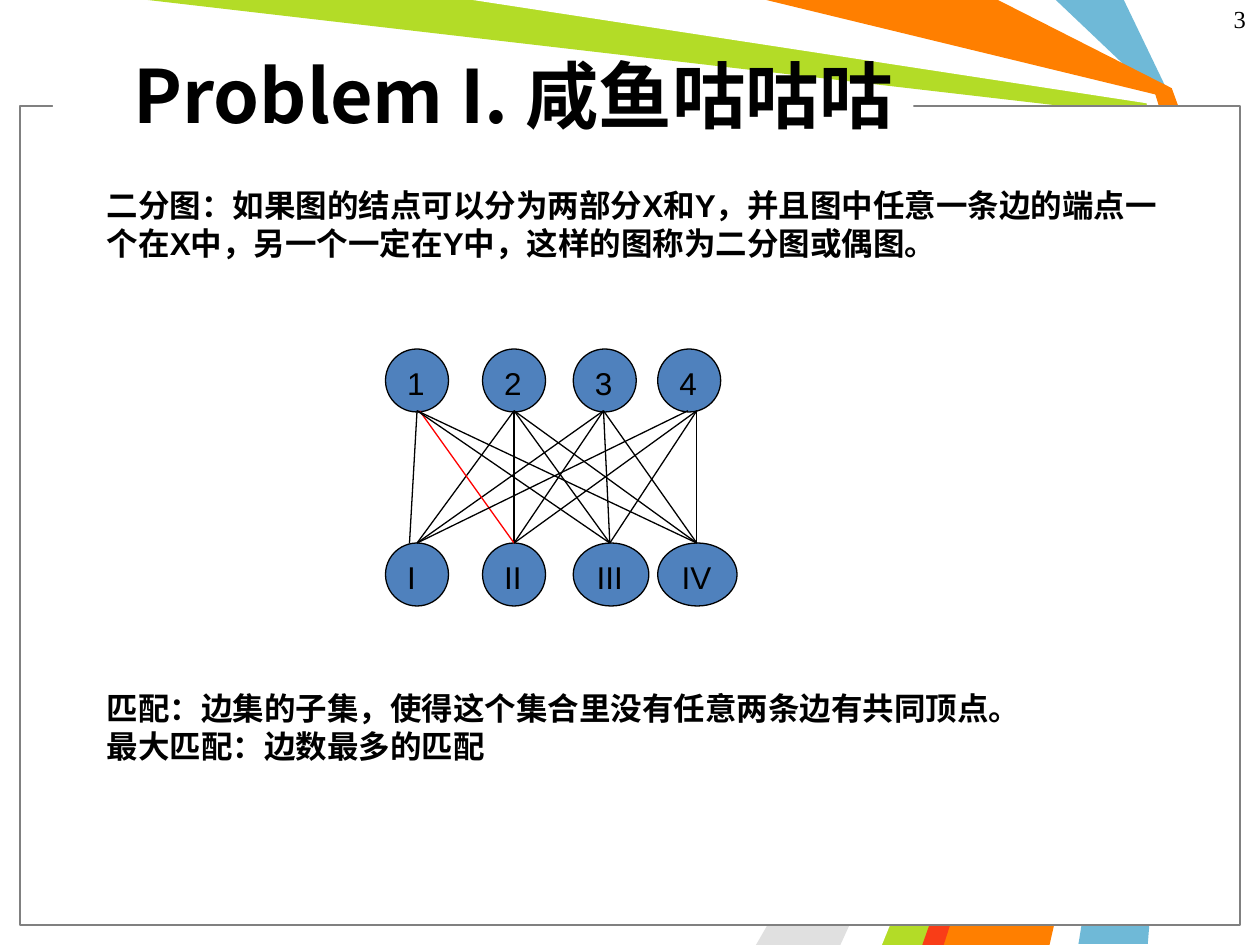
"""Build a slide that defines bipartite graphs and matchings around a two-row graph."""
from pptx import Presentation
from pptx.dml.color import RGBColor
from pptx.enum.shapes import MSO_CONNECTOR, MSO_SHAPE
from pptx.enum.text import MSO_ANCHOR, MSO_AUTO_SIZE, PP_ALIGN
from pptx.oxml.ns import qn
from pptx.util import Inches, Pt

OVAL, RECTANGLE = MSO_SHAPE.OVAL, MSO_SHAPE.RECTANGLE
STRAIGHT = MSO_CONNECTOR.STRAIGHT
LEFT, TOP, FIXED = PP_ALIGN.LEFT, MSO_ANCHOR.TOP, MSO_AUTO_SIZE.NONE

BLACK = RGBColor(0x00, 0x00, 0x00)
WHITE = RGBColor(0xFF, 0xFF, 0xFF)
GRAY = RGBColor(0x80, 0x80, 0x80)
SILVER = RGBColor(0xE0, 0xE0, 0xE0)
SKY = RGBColor(0x6F, 0xB9, 0xD7)
LIME = RGBColor(0xB3, 0xDC, 0x27)
ORANGE = RGBColor(0xFF, 0x7F, 0x00)
SCARLET = RGBColor(0xF9, 0x3D, 0x17)
NODE_BLUE = RGBColor(0x4F, 0x81, 0xBD)
RED = RGBColor(0xFF, 0x00, 0x00)

WIDTH, HEIGHT = 10, 7.5
CHINESE_FONT = "Noto Sans CJK SC"

TITLE = "Problem I. 咸鱼咕咕咕"
PAGE_NUMBER = "3"
MATCHING = [
    "匹配：边集的子集，使得这个集合里没有任意两条边有共同顶点。",
    "最大匹配：边数最多的匹配",
]
BIPARTITE = [
    "二分图：如果图的结点可以分为两部分X和Y，并且图中任意一条边的端点一个在X中，"
    "另一个一定在Y中，这样的图称为二分图或偶图。"
]

RIBBONS = [
    (SKY, [(8.92, 0), (9.29, 0.77), (9.58, 1.67), (9.11, 7.49), (8.56, 7.49),
           (9.5, 1.67), (9.17, 0.75), (8.38, 0)]),
    (LIME, [(1.17, 0), (3.84, 0), (9.14, 0.78), (9.42, 1.69), (7.42, 7.5),
            (6.92, 7.5), (9.35, 1.73), (9.02, 0.91)]),
    (SILVER, [(6.67, 7.5), (9.27, 1.81), (6, 7.5)]),
    (WHITE, [(3.75, 0), (9.1, 0.82), (9.32, 1.62), (6.75, 7.5), (7, 7.5),
             (9.41, 1.58), (9.17, 0.75), (6, 0)]),
    (ORANGE, [(6.08, 0), (7.92, 0), (9.3, 0.7), (9.66, 1.69), (8.33, 7.5),
              (7.33, 7.5), (9.42, 1.58), (9.17, 0.75)]),
    (SCARLET, [(7.32, 7.5), (9.32, 1.83), (7.49, 7.5)]),
]
PANEL = (0.16, 0.84, 9.68, 6.5)
TITLE_GAP = (0.42, 0.74, 6.83, 0.17)

NODE_LEFTS = [3.06, 3.83, 4.55, 5.22]
NODE_SIZE = 0.5
NODE_ROWS = [
    (2.77, [("1", 0.5), ("2", 0.5), ("3", 0.5), ("4", 0.5)]),
    (4.31, [("I", 0.5), ("II", 0.5), ("III", 0.6), ("IV", 0.63)]),
]
EDGE_TOP, EDGE_BOTTOM = 3.26, 4.31
UPPER_ENDS = [3.31, 4.08, 4.79, 5.53]
LOWER_ENDS = [3.31, 4.08, 4.84, 5.53]
SHIFTED_EDGES = {(0, 0): (3.31, 3.25), (0, 1): (3.33, 4.08), (3, 0): (5.46, 3.31)}
MATCHED_EDGE = (0, 1)
UPPER_ORDER = [1, 2, 0, 3]

TITLE_FORMAT = {"size": Pt(42), "name": CHINESE_FONT, "bold": True}
NUMBER_FORMAT = {"size": Pt(14), "name": "Times New Roman", "bold": False}
BODY_FORMAT = {"size": Pt(18), "name": "Arial", "bold": True}
NODE_FORMAT = {"size": Pt(18), "name": "Arial", "bold": False}
TIGHT = {"margin_left": 0, "margin_top": 0, "margin_right": 0,
         "margin_bottom": Inches(0.05), "word_wrap": False}
ROOMY = {"margin_left": Inches(0.1), "margin_top": Inches(0.05),
         "margin_right": Inches(0.1), "margin_bottom": Inches(0.05), "word_wrap": True}


def set_attributes(target, values):
    for name, value in values.items():
        setattr(target, name, value)


def write(shape, lines, font_format, frame_format, line_spacing=None):
    frame = shape.text_frame
    frame.text = "\n".join(lines)
    set_attributes(frame, {**frame_format, "auto_size": FIXED, "vertical_anchor": TOP})
    for paragraph in frame.paragraphs:
        set_attributes(paragraph, {"alignment": LEFT, "line_spacing": line_spacing})
        for run in paragraph.runs:
            set_attributes(run.font, font_format)
            run.font.color.rgb = BLACK
            east_asian = run.font.fill and run._r.get_or_add_rPr().makeelement(
                qn("a:ea"), {"typeface": CHINESE_FONT})
            run._r.get_or_add_rPr().find(qn("a:latin")).addnext(east_asian)


def paint(shape, fill, line=None, width=0.75):
    shape.shadow.inherit = False
    shape.fill.solid()
    shape.fill.fore_color.rgb = fill
    if line is None:
        shape.line.fill.background()
    else:
        shape.line.color.rgb = line
        shape.line.width = Pt(width)


def add_preset(shapes, preset, box, fill, line=None, width=0.75):
    shape = shapes.add_shape(preset, *map(Inches, box))
    paint(shape, fill, line, width)
    return shape


def add_text(shapes, box, *text_format):
    write(shapes.add_textbox(*map(Inches, box)), *text_format)


def add_backdrop(shapes):
    for color, points in RIBBONS:
        start, *others = [(Inches(x), Inches(y)) for x, y in points]
        builder = shapes.build_freeform(*start)
        builder.add_line_segments(others, close=True)
        paint(builder.convert_to_shape(), color)
    add_preset(shapes, RECTANGLE, PANEL, WHITE, GRAY, 1)
    add_preset(shapes, RECTANGLE, TITLE_GAP, WHITE)


def add_graph(shapes):
    for top, nodes in NODE_ROWS:
        row = shapes.add_group_shape().shapes
        for left, (label, width) in zip(NODE_LEFTS, nodes):
            node = add_preset(row, OVAL, (left, top, width, NODE_SIZE), NODE_BLUE, BLACK)
            write(node, [label], NODE_FORMAT, ROOMY)
    edges = shapes.add_group_shape().shapes
    for upper in UPPER_ORDER:
        for lower, lower_end in enumerate(LOWER_ENDS):
            pair = (upper, lower)
            start, end = SHIFTED_EDGES.get(pair, (UPPER_ENDS[upper], lower_end))
            edge = edges.add_connector(
                STRAIGHT, *map(Inches, (start, EDGE_TOP, end, EDGE_BOTTOM)))
            edge.line.color.rgb = RED if pair == MATCHED_EDGE else BLACK
            edge.line.width = Pt(0.75)
            properties = edge.element.spPr
            properties.append(properties.makeelement(qn("a:effectLst"), {}))


def main():
    presentation = Presentation()
    presentation.slide_width, presentation.slide_height = Inches(WIDTH), Inches(HEIGHT)
    slide = presentation.slides.add_slide(presentation.slide_layouts[5])
    shapes = slide.shapes
    add_backdrop(shapes)
    add_text(shapes, (9.79, 0.1, 0.1, 0.22), [PAGE_NUMBER], NUMBER_FORMAT, TIGHT, Pt(12))
    title = shapes.title
    set_attributes(title, {"left": Inches(1.06), "top": Inches(0.33),
                           "width": Inches(6.21), "height": Inches(0.82)})
    write(title, [TITLE], TITLE_FORMAT, TIGHT, Pt(55))
    title.element.getparent().append(title.element)
    add_graph(shapes)
    add_text(shapes, (0.75, 5.42, 8.4, 0.7), MATCHING, BODY_FORMAT, ROOMY)
    add_text(shapes, (0.75, 1.43, 8.57, 0.7), BIPARTITE, BODY_FORMAT, ROOMY)
    presentation.save("out.pptx")


if __name__ == "__main__":
    main()
